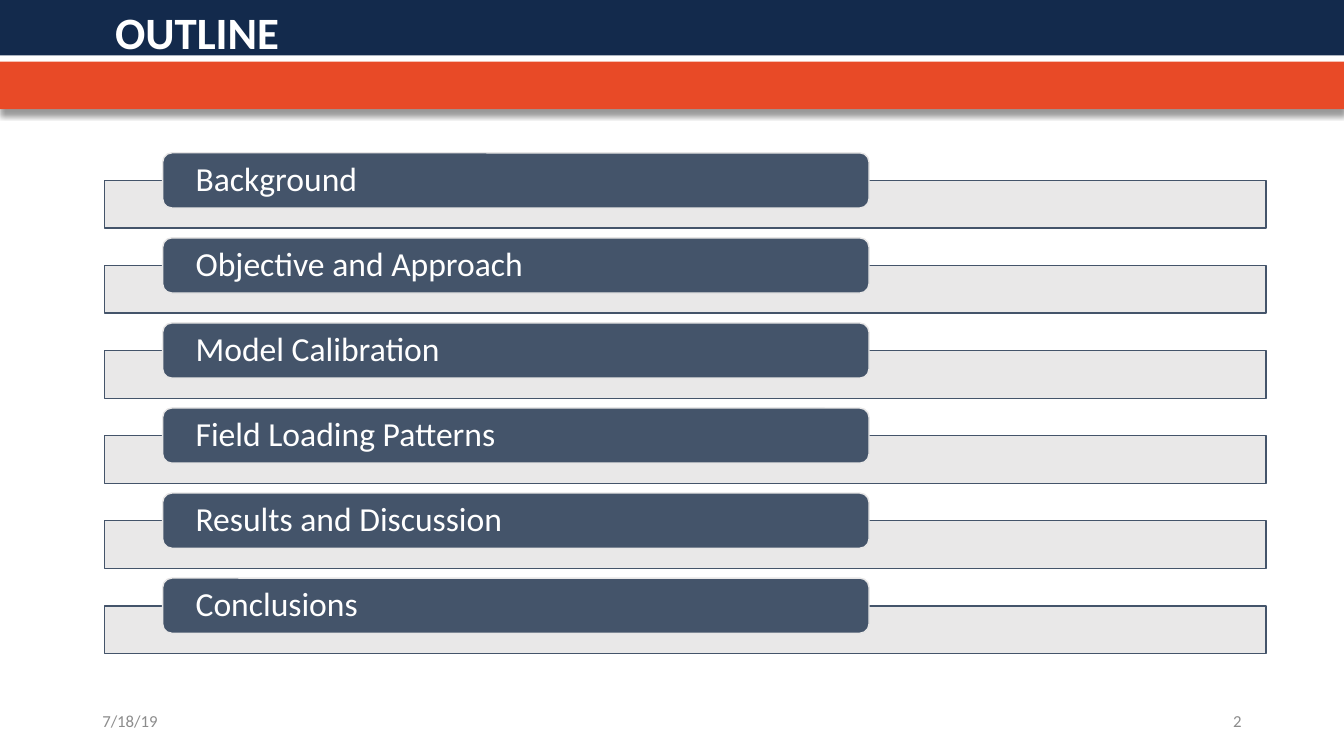
from lxml.etree import SubElement
from pptx import Presentation
from pptx.dml.color import RGBColor
from pptx.enum.shapes import MSO_SHAPE
from pptx.enum.text import MSO_ANCHOR, MSO_AUTO_SIZE, PP_ALIGN
from pptx.oxml import parse_xml
from pptx.oxml.ns import nsdecls, qn
from pptx.util import Pt

NAVY, ORANGE, SLATE, PALE = "132A4C", "E84A27", "44546A", "E7E6E6"
WHITE, GRAY = "FFFFFF", "8C8C8C"


def add_box(kind, left, top, width, height, fill, line=None):
    shape = slide.shapes.add_shape(kind, Pt(left), Pt(top), Pt(width), Pt(height))
    shape.shadow.inherit = False
    shape.fill.solid()
    shape.fill.fore_color.rgb = RGBColor.from_string(fill)
    if line:
        shape.line.color.rgb = RGBColor.from_string(line)
        shape.line.width = Pt(1)
    else:
        shape.line.fill.background()
    return shape


def write_text(shape, text, size, color, align=PP_ALIGN.LEFT, anchor=MSO_ANCHOR.MIDDLE, bold=False, spacing=0.9):
    frame = shape.text_frame
    frame.word_wrap = True
    frame.vertical_anchor = anchor
    paragraph = frame.paragraphs[0]
    paragraph.text = text
    paragraph.alignment = align
    paragraph.line_spacing = spacing
    font_format = {"name": "Calibri", "size": Pt(size), "bold": bold}
    for name, value in font_format.items():
        setattr(paragraph.font, name, value)
    paragraph.font.color.rgb = RGBColor.from_string(color)


presentation = Presentation()
presentation.slide_width, presentation.slide_height = Pt(960), Pt(540)
slide = presentation.slides.add_slide(presentation.slide_layouts[5])

# Header bands
add_box(MSO_SHAPE.RECTANGLE, 0, 0, 960, 39.6, NAVY)
orange_band = add_box(MSO_SHAPE.RECTANGLE, 0, 44, 960, 34, ORANGE)
effects = orange_band.element.spPr.find(qn("a:effectLst"))
effects.append(parse_xml(
    f'<a:outerShdw {nsdecls("a")} blurRad="{Pt(4)}" dist="{Pt(4)}" dir="5400000" algn="t" rotWithShape="0">'
    '<a:srgbClr val="000000"><a:alpha val="40000"/></a:srgbClr></a:outerShdw>'))

# Title, brought in front of the bands
title = slide.shapes.title
title_place = {"left": 75, "top": 4.3, "width": 137.5, "height": 36.7}
for name, value in title_place.items():
    setattr(title, name, Pt(value))
write_text(title, "OUTLINE", 32, WHITE, anchor=MSO_ANCHOR.TOP, bold=True)
title.text_frame.auto_size = MSO_AUTO_SIZE.NONE
title.element.getparent().append(title.element)

# Date and slide number
footers = [("7/18/19", 66, PP_ALIGN.LEFT), ("2", 678, PP_ALIGN.RIGHT)]
for text, left, align in footers:
    footer = slide.shapes.add_textbox(Pt(left), Pt(500.5), Pt(216), Pt(28.75))
    write_text(footer, text, 12, GRAY, align, spacing=1)

# Outline list: a pale bar with an overlapping label per topic
topics = ["Background", "Objective and Approach", "Model Calibration",
          "Field Loading Patterns", "Results and Discussion", "Conclusions"]
for index, topic in enumerate(topics):
    top = 109.2 + index * 60.75
    bar = add_box(MSO_SHAPE.RECTANGLE, 74.75, top + 19.8, 829.5, 34, PALE, SLATE)
    bar_color = bar.element.spPr.find(qn("a:solidFill")).find(qn("a:srgbClr"))
    SubElement(bar_color, qn("a:alpha")).set("val", "90000")

    label = add_box(MSO_SHAPE.ROUNDED_RECTANGLE, 116.25, top, 504.5, 39.4, SLATE, PALE)
    write_text(label, topic, 24, WHITE)
    margins = {"margin_left": 21.6, "margin_right": 21.6, "margin_top": 0, "margin_bottom": 0}
    for name, value in margins.items():
        setattr(label.text_frame, name, Pt(value))

presentation.save("out.pptx")
